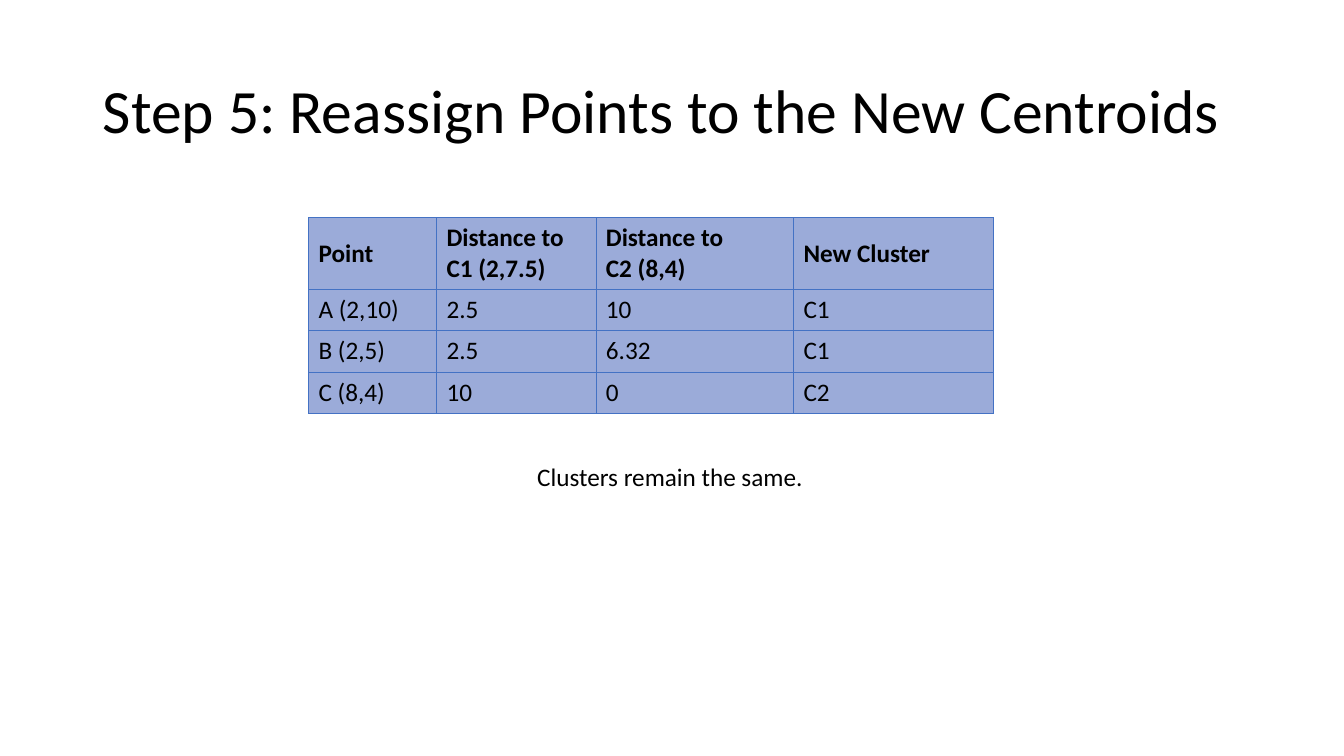
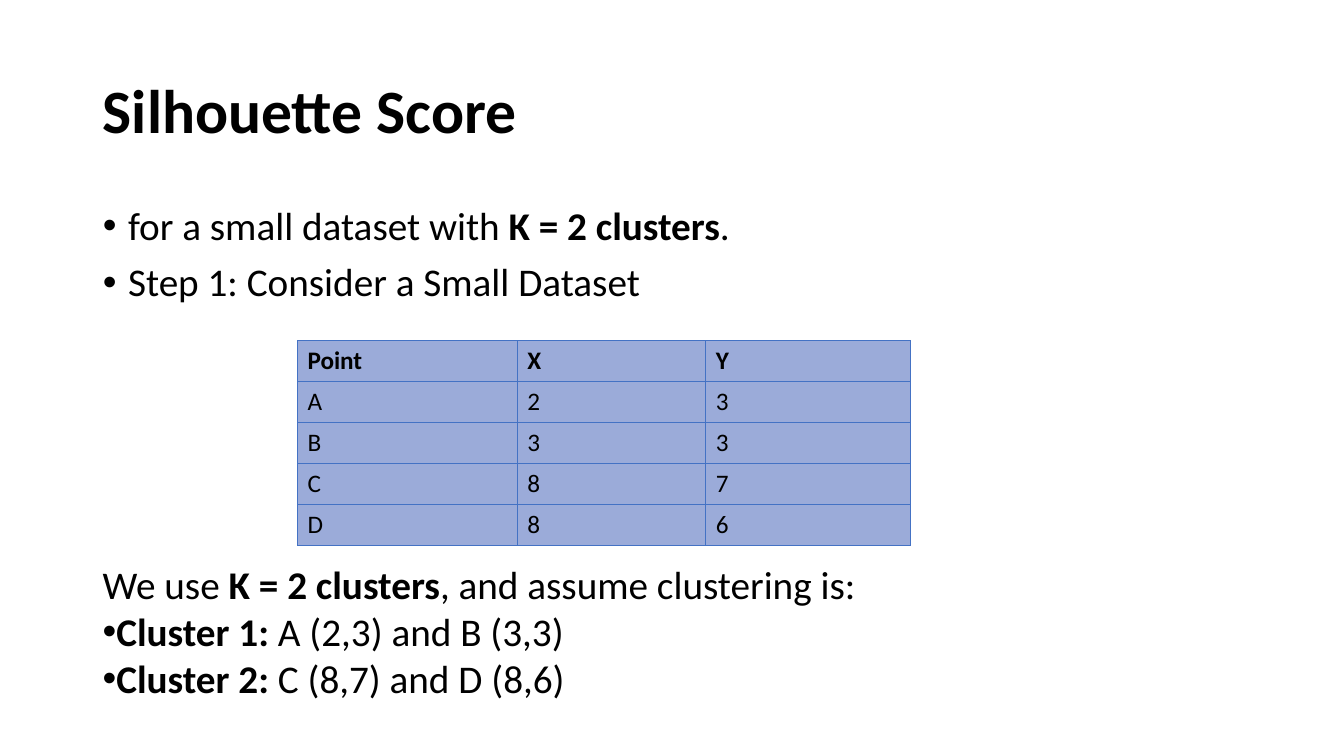
from lxml import etree
from pptx import Presentation
from pptx.dml.color import RGBColor
from pptx.enum.text import MSO_ANCHOR, MSO_AUTO_SIZE, PP_ALIGN
from pptx.oxml.ns import qn
from pptx.util import Pt

PX = 9144  # 100 px to the inch
FONT = "Calibri"
INK, EDGE, FILL = "000000", "4472C4", "9BABD9"
MIDDLE, TOP = MSO_ANCHOR.MIDDLE, MSO_ANCHOR.TOP
LEFT = PP_ALIGN.LEFT
NO_FIT, GROW = MSO_AUTO_SIZE.NONE, MSO_AUTO_SIZE.SHAPE_TO_FIT_TEXT
LIST, TITLE_ONLY = 1, 5
TITLE_BOX = (92, 40, 1150, 145)
BODY_BOX = (92, 200, 1150, 476)


def px(*nums):
    return [n * PX for n in nums]


def color(code):
    return RGBColor.from_string(code)


def place(shape, box):
    shape.left, shape.top, shape.width, shape.height = px(*box)


def write(para, text, size):
    """Fill a paragraph; parts between ** marks are bold."""
    para.alignment = LEFT
    for i, part in enumerate(text.split("**")):
        if part:
            run = para.add_run()
            run.text = part
            font = run.font
            font.name, font.size, font.bold = FONT, Pt(size), i % 2 == 1
            font.color.rgb = color(INK)


def fill(frame, lines, size):
    for i, line in enumerate(lines):
        para = frame.add_paragraph() if i else frame.paragraphs[0]
        write(para, line, size)
    return frame.paragraphs


def bullet(para, indent=0):
    props = para._p.get_or_add_pPr()
    props.set("marL", str(indent * PX))
    props.set("indent", str(-indent * PX))
    etree.SubElement(props, qn("a:buFont")).set("typeface", "Arial")
    etree.SubElement(props, qn("a:buChar")).set("char", "•")


def holder(shape, box, lines, size, anchor, before):
    """Format a placeholder and return its paragraphs."""
    place(shape, box)
    frame = shape.text_frame
    frame.auto_size, frame.vertical_anchor = NO_FIT, anchor
    paras = fill(frame, lines, size)
    for para in paras:
        para.line_spacing, para.space_before = 0.9, Pt(before)
    return paras


def new_slide(deck, layout, title):
    slide = deck.slides.add_slide(deck.slide_layouts[layout])
    holder(slide.shapes.title, TITLE_BOX, [title], 44, MIDDLE, 0)
    return slide


def body(slide, lines):
    for para in holder(slide.placeholders[1], BODY_BOX, lines, 28, TOP, 10):
        bullet(para, 25)


def border(cell):
    props = cell._tc.get_or_add_tcPr()
    for side in "LRTB":
        line = etree.SubElement(props, qn("a:ln" + side), w=str(Pt(0.5)))
        paint = etree.SubElement(line, qn("a:solidFill"))
        etree.SubElement(paint, qn("a:srgbClr"), val=EDGE)


def grid(slide, left, top, cols, rows, data):
    """Draw a table whose first row is bold."""
    box = px(left, top, sum(cols), sum(rows))
    table = slide.shapes.add_table(len(rows), len(cols), *box).table
    for col, width in zip(table.columns, cols):
        col.width = width * PX
    for r, (row, height) in enumerate(zip(table.rows, rows)):
        row.height = height * PX
        for cell, text in zip(row.cells, data[r]):
            border(cell)
            cell.fill.solid()
            cell.fill.fore_color.rgb = color(FILL)
            cell.vertical_anchor = MIDDLE
            lines = text.split("\n")
            if r == 0:
                lines = [f"**{line}**" for line in lines]
            fill(cell.text_frame, lines, 18)


def note(slide, box, lines, size, wrap):
    frame = slide.shapes.add_textbox(*px(*box)).text_frame
    frame.word_wrap, frame.auto_size = wrap, GROW
    return fill(frame, lines, size)


def reassign(deck):
    slide = new_slide(deck, TITLE_ONLY,
                      "Step 5: Reassign Points to the New Centroids")
    grid(slide, 306, 216, [127, 158, 196, 198], [71] + [41] * 3, [
        ["Point", "Distance to C1 (2,7.5)", "Distance to\nC2 (8,4)",
         "New Cluster"],
        ["A (2,10)", "2.5", "10", "C1"],
        ["B (2,5)", "2.5", "6.32", "C1"],
        ["C (8,4)", "10", "0", "C2"],
    ])
    note(slide, (523, 453, 286, 40), ["Clusters remain the same."], 18, False)


def score(deck):
    slide = new_slide(deck, LIST, "**Silhouette Score**")
    body(slide, ["for a small dataset with **K = 2 clusters**.",
                 "Step 1: Consider a Small Dataset"])
    grid(slide, 295, 338, [218, 187, 203], [40] * 5,
         ["Point X Y".split(), "A23", "B33", "C87", "D86"])
    paras = note(slide, (92, 551, 835, 151), [
        "We use **K = 2 clusters**, and assume clustering is:",
        "**Cluster 1:** A (2,3) and B (3,3)",
        "**Cluster 2:** C (8,7) and D (8,6)",
    ], 28, True)
    for para in paras[1:]:
        bullet(para)


def main():
    deck = Presentation()
    deck.slide_width, deck.slide_height = px(1333, 750)
    reassign(deck)
    score(deck)
    deck.save("out.pptx")


if __name__ == "__main__":
    main()
